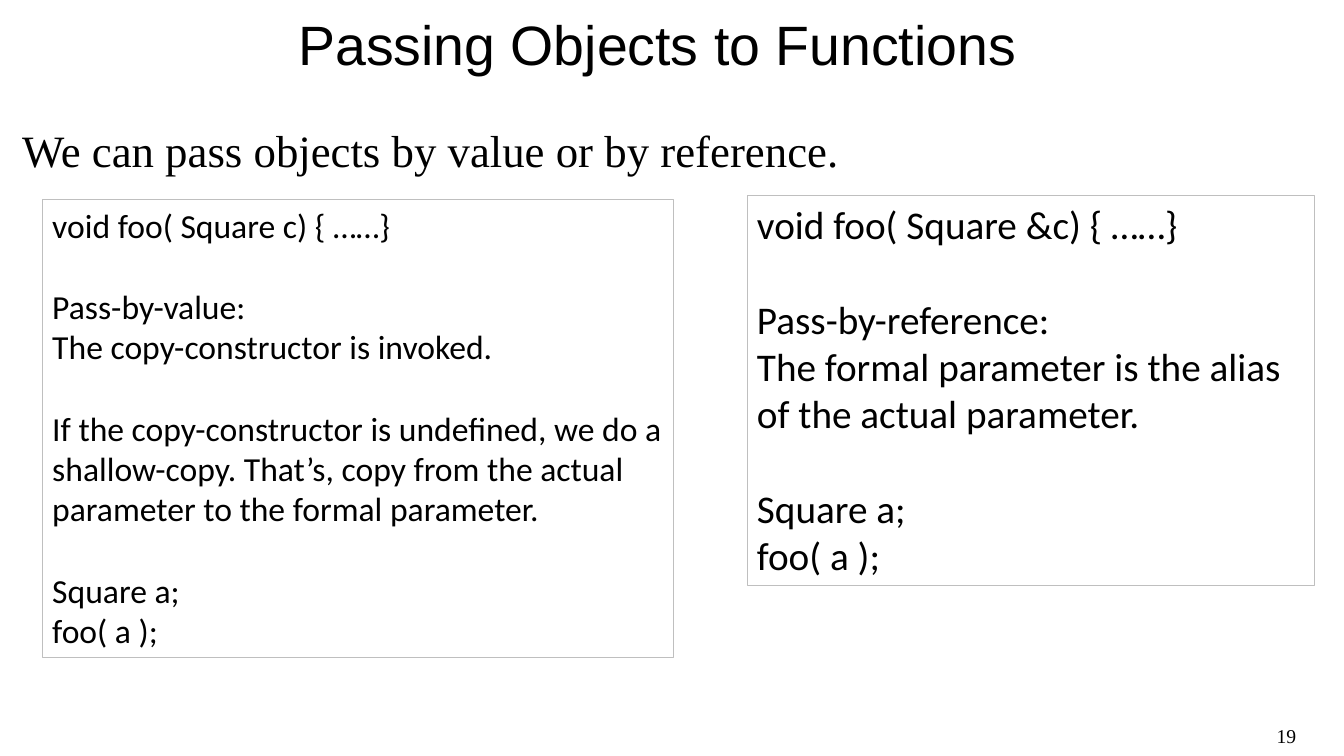
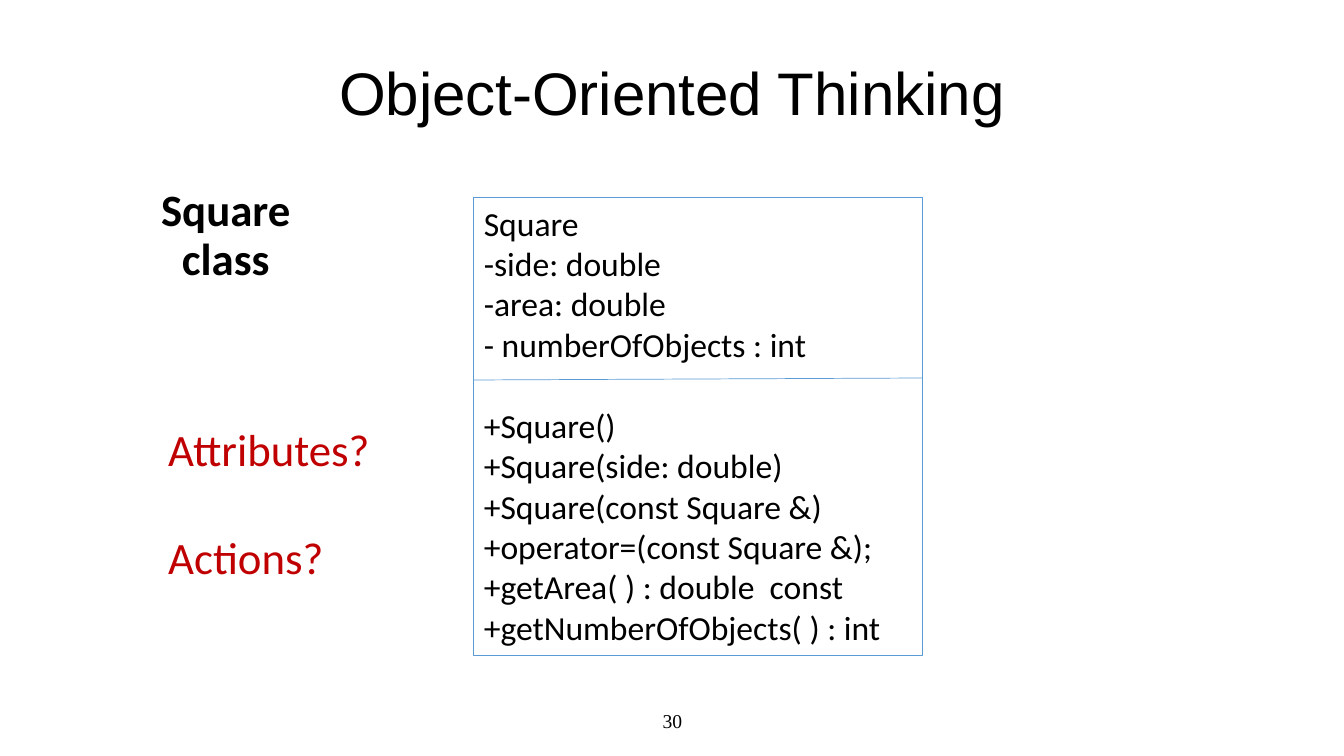
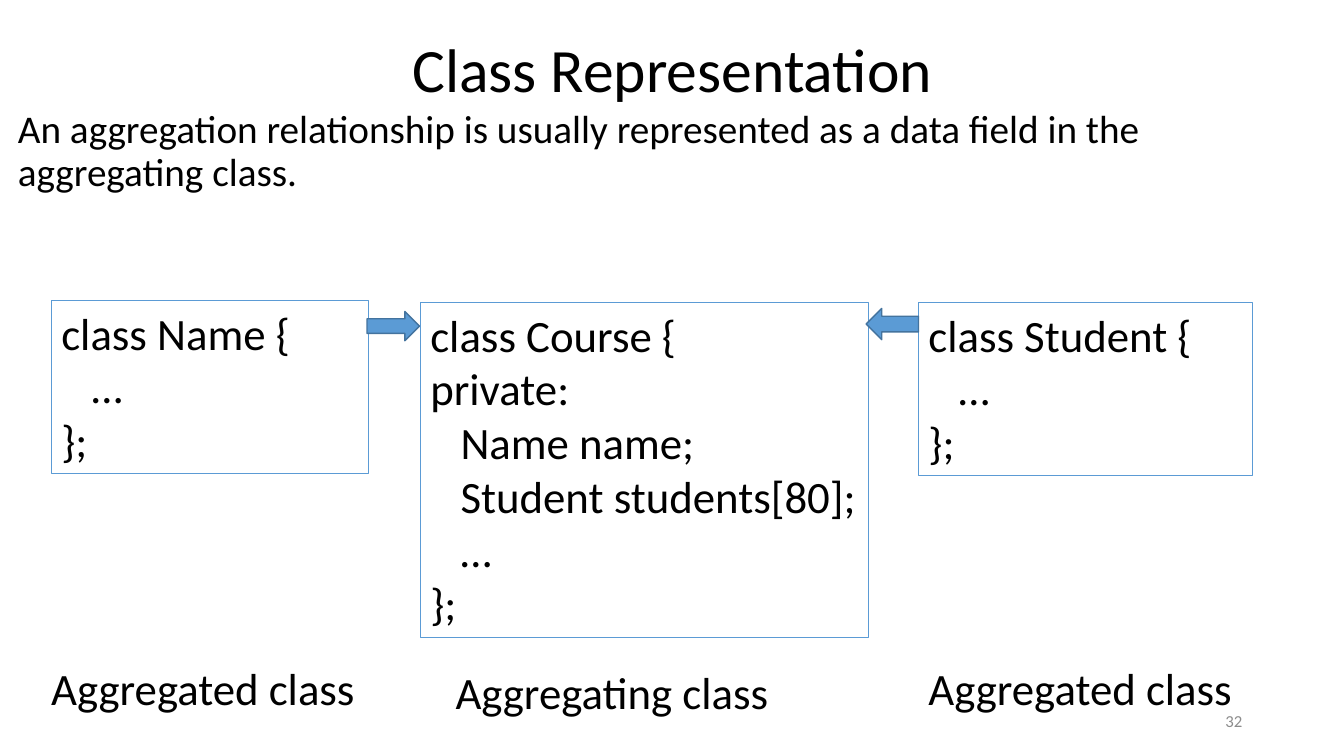
"""Build three slides on objects and classes in C++."""
from lxml import etree
from pptx import Presentation
from pptx.dml.color import RGBColor
from pptx.enum import shapes, text
from pptx.oxml import ns
from pptx.util import Inches, Pt

BLACK = RGBColor(0x00, 0x00, 0x00)
GREY = RGBColor(0x8C, 0x8C, 0x8C)
SILVER = RGBColor(0xBF, 0xBF, 0xBF)
RED = RGBColor(0xC0, 0x00, 0x00)
BLUE = RGBColor(0x5B, 0x9B, 0xD5)
NAVY = RGBColor(0x43, 0x73, 0x9E)
SANS, ARIAL, SERIF = "Calibri", "Arial", "Times New Roman"
LEFT, MID, RIGHT = text.PP_ALIGN.LEFT, text.PP_ALIGN.CENTER, text.PP_ALIGN.RIGHT
LINE = 1.22
INDENT = Inches(0.3)


def write(shape, rows, size, font=SANS, color=BLACK, bold=False, align=LEFT,
          space=None, anchor=text.MSO_ANCHOR.TOP):
    """Fill a shape; an empty row is a one-line gap, a leading tab an indent."""
    frame = shape.text_frame
    frame.word_wrap = True
    frame.vertical_anchor = anchor
    frame.text = "\n".join(row.lstrip("\t") for row in rows if row)
    kept = [(row, i > 0 and not rows[i - 1]) for i, row in enumerate(rows) if row]
    for para, (row, gap) in zip(frame.paragraphs, kept):
        para.alignment = align
        if space:
            para.line_spacing = space
        if gap:
            para.space_before = Pt(round(size * LINE, 1))
        if row.startswith("\t"):
            para._p.get_or_add_pPr().set("marL", str(INDENT))
        for run in para.runs:
            face = run.font
            face.name, face.size, face.bold = font, Pt(size), bold
            face.color.rgb = color


def label(slide, at, rows, size, **style):
    """Add a text box."""
    box = slide.shapes.add_textbox(*map(Inches, at))
    write(box, rows, size, **style)


def title(slide, at, rows, size, **style):
    """Add a centred heading."""
    label(slide, at, rows, size, align=MID, space=0.9,
          anchor=text.MSO_ANCHOR.MIDDLE, **style)


def number(slide, at, page, size=14, font=SERIF, color=BLACK, align=MID):
    """Add the page number."""
    label(slide, at, [page], size, font=font, color=color, align=align,
          anchor=text.MSO_ANCHOR.MIDDLE)


def frame(slide, at, rows, size, line=BLUE):
    """Add an outlined box of code or notes."""
    box = slide.shapes.add_shape(shapes.MSO_SHAPE.RECTANGLE, *map(Inches, at))
    box.shadow.inherit = False
    box.fill.background()
    box.line.color.rgb = line
    box.line.width = Pt(0.75)
    write(box, rows, size)


def arrow(slide, kind, at):
    """Add a block arrow."""
    mark = slide.shapes.add_shape(kind, *map(Inches, at))
    mark.shadow.inherit = False
    mark.fill.solid()
    mark.fill.fore_color.rgb = BLUE
    mark.line.color.rgb = NAVY
    mark.line.width = Pt(1)


def rule(slide, ends):
    """Add a thin straight line."""
    line = slide.shapes.add_connector(shapes.MSO_CONNECTOR.STRAIGHT,
                                      *map(Inches, ends))
    line.line.color.rgb = BLUE
    line.line.width = Pt(0.5)
    etree.SubElement(line._element.spPr, ns.qn("a:effectLst"))


def passing(slide):
    """Compare passing by value and by reference."""
    call = ["", "Square a;", "foo( a );"]
    number(slide, (12.26, 7.1, 1, 0.4), "19")
    title(slide, (0.08, 0.11, 12.88, 0.73), ["Passing Objects to Functions"],
          39.6, font=ARIAL)
    label(slide, (0.12, 1.17, 13.21, 0.7),
          ["We can pass objects by value or by reference."], 32, font=SERIF)
    frame(slide, (0.42, 1.98, 6.26, 4.54), [
        "void foo( Square c) { ……}", "",
        "Pass-by-value:", "The copy-constructor is invoked.", "",
        "If the copy-constructor is undefined, we do a shallow-copy. "
        "That’s, copy from the actual parameter to the formal parameter.",
        *call], 24, SILVER)
    frame(slide, (7.41, 1.94, 5.63, 3.87), [
        "void foo( Square &c) { ……}", "",
        "Pass-by-reference:",
        "The formal parameter is the alias of the actual parameter.",
        *call], 28, SILVER)


def thinking(slide):
    """Show the class diagram of Square."""
    number(slide, (4.42, 6.95, 4.5, 0.4), "30")
    title(slide, (2, 0.58, 9.33, 0.75), ["Object-Oriented Thinking"], 42.9,
          font=ARIAL)
    title(slide, (1.02, 1.8, 2.44, 1.09), ["Square", "class"], 32, bold=True)
    label(slide, (1.57, 4.13, 2.3, 1.72), ["Attributes?", "", "Actions?"], 32,
          color=RED)
    frame(slide, (4.7, 1.96, 4.45, 4.54), [
        "Square", "-side: double", "-area: double", "- numberOfObjects : int",
        "", "+Square()", "+Square(side: double)", "+Square(const Square &)",
        "+operator=(const Square &);", "+getArea( ) : double  const",
        "+getNumberOfObjects( ) : int"], 24)
    rule(slide, (4.7, 3.77, 9.15, 3.75))


def classes(slide):
    """Show how one class aggregates two others."""
    title(slide, (2.42, 0.25, 8.5, 0.94), ["Class Representation"], 44)
    label(slide, (0.08, 1.04, 13.1, 1.55), [
        "An aggregation relationship is usually represented as a data field "
        "in the aggregating class."], 28, space=0.9)
    body = ["\t…", "};"]
    frame(slide, (0.51, 2.98, 3.15, 1.72), ["class Name {", *body], 32)
    frame(slide, (9.11, 3, 3.31, 1.72), ["class Student {", *body], 32)
    frame(slide, (4.17, 3, 4.44, 3.33), [
        "class Course {", "private:", "\tName name;",
        "\tStudent students[80];", *body], 32)
    for left, top, role in ((0.41, 6.51, "Aggregated class"),
                            (9.11, 6.51, "Aggregated class"),
                            (4.42, 6.55, "Aggregating class")):
        label(slide, (left, top, 3.4, 0.64), [role], 32)
    arrow(slide, shapes.MSO_SHAPE.RIGHT_ARROW, (3.64, 3.09, 0.52, 0.29))
    arrow(slide, shapes.MSO_SHAPE.LEFT_ARROW, (8.59, 3.06, 0.52, 0.31))
    number(slide, (9.42, 6.95, 3, 0.4), "32", 12, SANS, GREY, RIGHT)


def main():
    """Build and save the deck."""
    deck = Presentation()
    deck.slide_width, deck.slide_height = Inches(13.33), Inches(7.5)
    for draw in (passing, thinking, classes):
        draw(deck.slides.add_slide(deck.slide_layouts[6]))
    deck.save("out.pptx")


if __name__ == "__main__":
    main()
